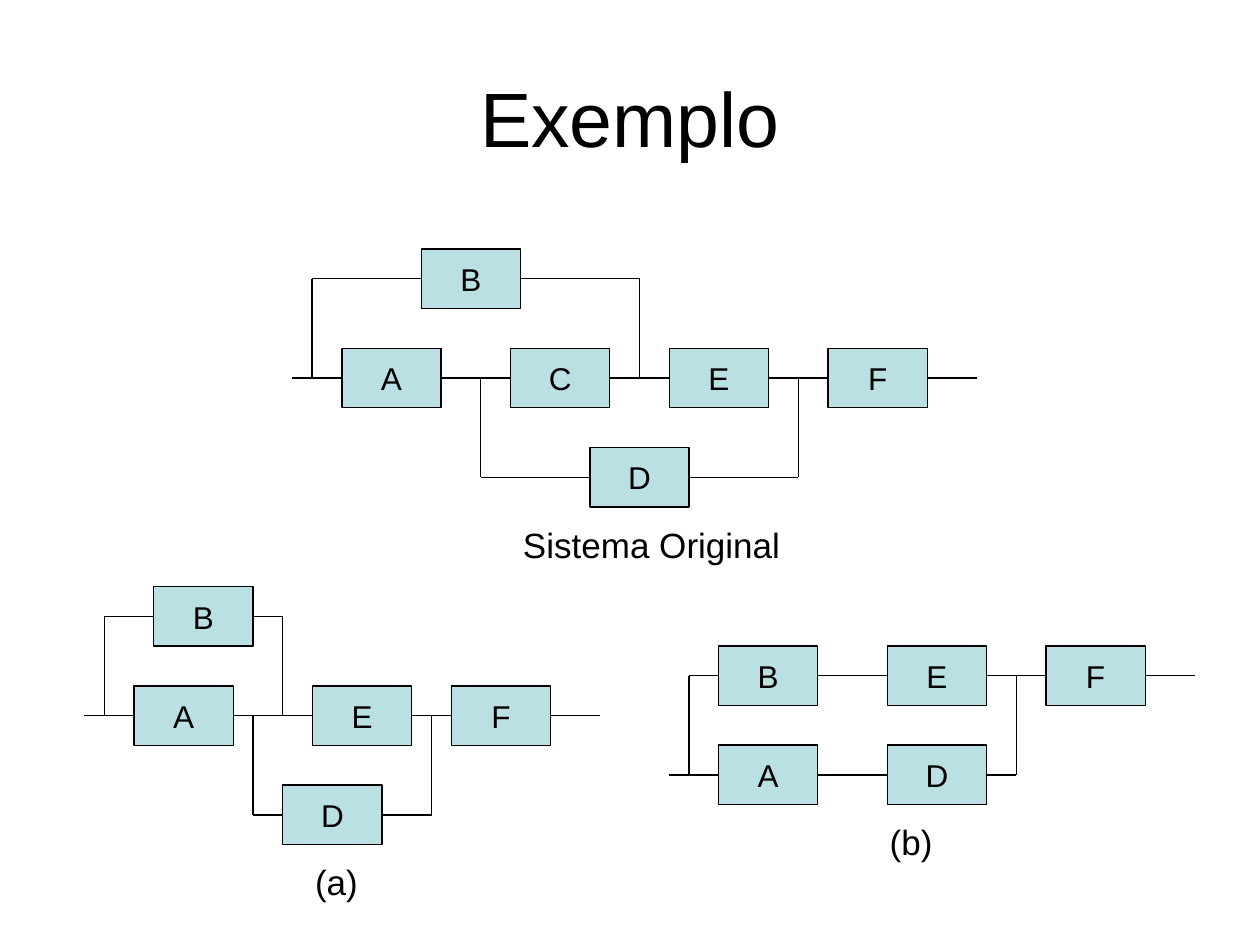
from pptx import Presentation
from pptx import util as u
from pptx.dml.color import RGBColor
from pptx.enum import shapes, text
from pptx.oxml.ns import qn
from lxml import etree

# Grid: one unit is 2 mm; rows of blocks are ten units apart
UNIT = u.Mm(2)
BLOCK_WIDTH, BLOCK_HEIGHT, ROW_PITCH = 10, 6, 10
BLACK, PALE_BLUE = "000000", "BBE0E3"

# Rows: number -> (wire start, wire end, {block: left column})
# Risers: (column, row that is joined to row 0)
# Caption: (text, left column, units below row 0, width)
DIAGRAMS = [
    {
        "origin": (2.32, 3.0),
        "rows": {
            0: (0, 69, {"A": 5, "C": 22, "E": 38, "F": 54}),
            -1: (2, 35, {"B": 13}),
            1: (19, 51, {"D": 30}),
        },
        "risers": [(2, -1), (35, -1), (19, 1), (51, 1)],
        "caption": ("Sistema Original", 22, 14, 30),
    },
    {
        "origin": (0.67, 5.68),
        "rows": {
            0: (0, 52, {"A": 5, "E": 23, "F": 37}),
            -1: (2, 20, {"B": 7}),
            1: (17, 35, {"D": 20}),
        },
        "risers": [(2, -1), (20, -1), (17, 1), (35, 1)],
        "caption": ("(a)", 22, 14, 9),
    },
    {
        "origin": (5.31, 6.15),
        "rows": {
            0: (0, 35, {"A": 5, "D": 22}),
            -1: (2, 53, {"B": 5, "E": 22, "F": 38}),
        },
        "risers": [(2, -1), (35, -1)],
        "caption": ("(b)", 21, 4, 9),
    },
]


def color(hex_string):
    return RGBColor.from_string(hex_string)


def write(shape, words, size, alignment):
    shape.text_frame.text = words
    paragraph = shape.text_frame.paragraphs[0]
    paragraph.alignment = alignment
    paragraph.font.name = "Arial"
    paragraph.font.size = u.Pt(size)
    paragraph.font.color.rgb = color(BLACK)


def add_title(slide, words):
    title = slide.shapes.title
    title.left, title.top = u.Inches(0.5), u.Inches(0.3)
    title.width, title.height = u.Inches(9), u.Inches(1.25)
    title.text_frame.vertical_anchor = text.MSO_ANCHOR.MIDDLE
    write(title, words, 44, text.PP_ALIGN.CENTER)


def add_block(slide, name, left, middle):
    block = slide.shapes.add_shape(
        shapes.MSO_SHAPE.RECTANGLE, left, middle - BLOCK_HEIGHT * UNIT // 2,
        BLOCK_WIDTH * UNIT, BLOCK_HEIGHT * UNIT)
    block.shadow.inherit = False
    block.fill.solid()
    block.fill.fore_color.rgb = color(PALE_BLUE)
    block.line.color.rgb = color(BLACK)
    block.line.width = u.Pt(0.75)
    block.text_frame.word_wrap = False
    block.text_frame.vertical_anchor = text.MSO_ANCHOR.MIDDLE
    write(block, name, 18, text.PP_ALIGN.CENTER)


def add_wire(slide, x1, y1, x2, y2):
    wire = slide.shapes.add_connector(
        shapes.MSO_CONNECTOR.STRAIGHT, x1, y1, x2, y2)
    wire.line.color.rgb = color(BLACK)
    wire.line.width = u.Pt(0.75)
    etree.SubElement(wire._element.spPr, qn("a:effectLst"))


def add_caption(slide, words, left, top, width):
    caption = slide.shapes.add_textbox(left, top, width, u.Inches(0.44))
    caption.text_frame.word_wrap = True
    write(caption, words, 20, text.PP_ALIGN.LEFT)


def add_diagram(slide, origin, rows, risers, caption):
    left, middle = (u.Inches(length) for length in origin)

    def x(column):
        return left + column * UNIT

    def y(row):
        return middle + row * ROW_PITCH * UNIT

    # Blocks, with wires in the gaps before, between and after them
    for row, (start, end, blocks) in rows.items():
        for name, column in blocks.items():
            add_block(slide, name, x(column), y(row))
        gap_starts = [start] + [c + BLOCK_WIDTH for c in blocks.values()]
        gap_ends = [*blocks.values(), end]
        for gap_start, gap_end in zip(gap_starts, gap_ends):
            add_wire(slide, x(gap_start), y(row), x(gap_end), y(row))

    # Vertical wires between rows
    for column, row in risers:
        add_wire(slide, x(column), y(0), x(column), y(row))

    words, column, drop, width = caption
    add_caption(slide, words, x(column), middle + drop * UNIT, width * UNIT)


def main():
    presentation = Presentation()
    presentation.slide_width = u.Inches(10)
    presentation.slide_height = u.Inches(7.5)
    slide = presentation.slides.add_slide(presentation.slide_layouts[5])
    add_title(slide, "Exemplo")
    for diagram in DIAGRAMS:
        add_diagram(slide, **diagram)
    presentation.save("out.pptx")


if __name__ == "__main__":
    main()
